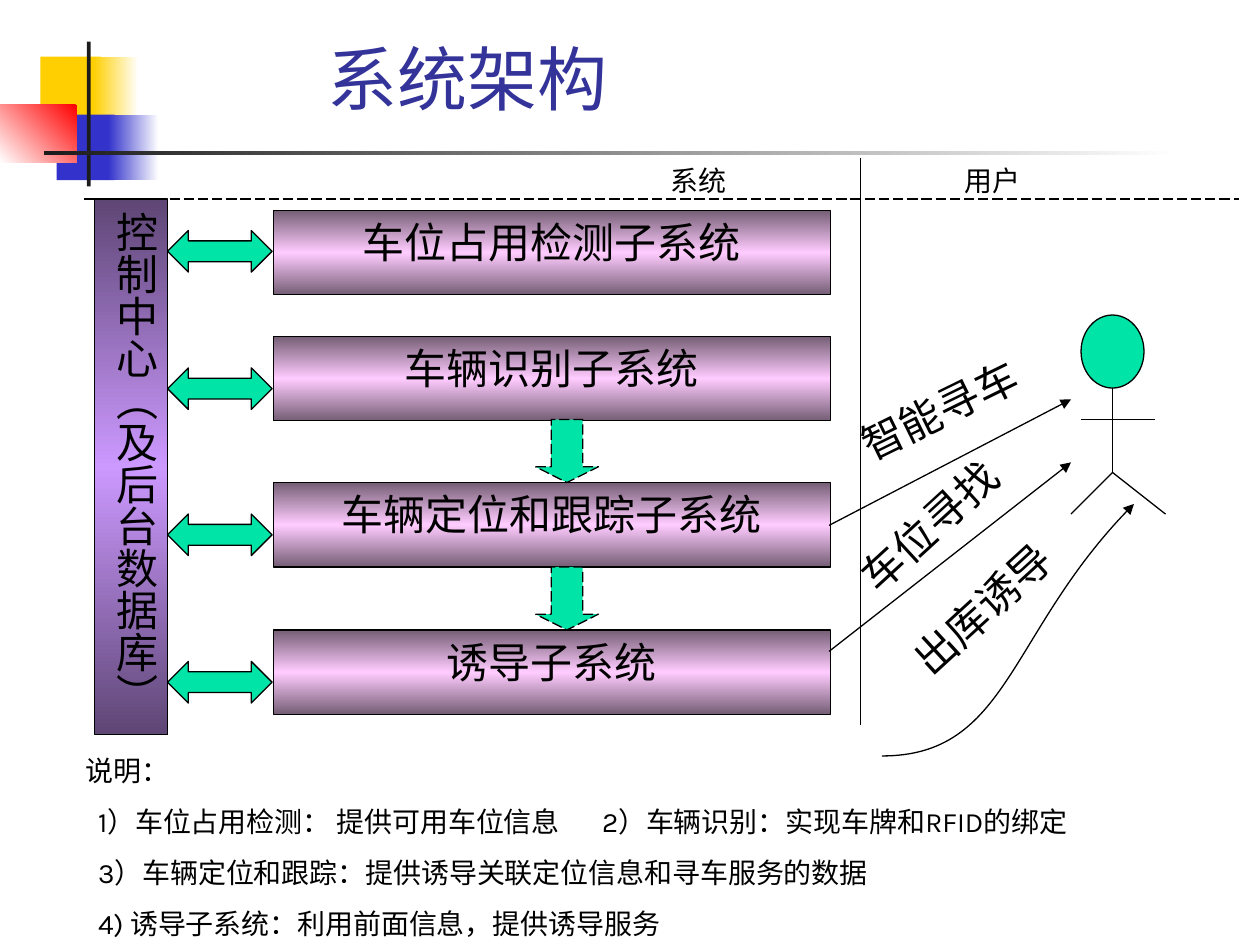
from lxml import etree
from pptx import Presentation
from pptx import util as u
from pptx.dml.color import RGBColor
from pptx.enum import dml, shapes, text
from pptx.oxml import ns

FONT = "Karla"
BLACK = RGBColor(0x00, 0x00, 0x00)
WHITE = RGBColor(0xFF, 0xFF, 0xFF)
INK = RGBColor(0x1C, 0x1C, 0x1C)
NAVY = RGBColor(0x33, 0x33, 0x99)
BLUE = RGBColor(0x33, 0x33, 0xCC)
GOLD = RGBColor(0xFF, 0xCF, 0x01)
RED = RGBColor(0xFF, 0x00, 0x00)
GREEN = RGBColor(0x00, 0xE4, 0xA8)
PLUM = RGBColor(0x5E, 0x46, 0x75)
LILAC = RGBColor(0xCC, 0x99, 0xFF)
MAUVE = RGBColor(0x75, 0x5E, 0x75)
PINK = RGBColor(0xFF, 0xCC, 0xFF)
SHAPE = shapes.MSO_SHAPE
DASH = dml.MSO_LINE.LONG_DASH
CENTER = text.PP_ALIGN.CENTER


def sub(parent, tag, **attrs):
    return etree.SubElement(parent, ns.qn(tag), attrs)


class Board:
    """Style and drawing methods for one slide."""

    def __init__(self, slide):
        self.slide = slide
        self.items = slide.shapes

    def font(self, para, size, color=BLACK):
        for run in para.runs:
            run.font.size = u.Pt(size)
            run.font.name = FONT
            run.font.color.rgb = color

    def stroke(self, line, dash=None, arrow=False):
        line.color.rgb = BLACK
        line.width = u.Pt(0.75)
        if dash:
            line.dash_style = dash
        if arrow:
            sub(line._get_or_add_ln(), "a:tailEnd", type="triangle")

    def blend(self, shape, colors, angle):
        """Gradient with evenly spaced stops; angle runs clockwise."""
        grad = etree.Element(ns.qn("a:gradFill"), rotWithShape="1")
        stops = sub(grad, "a:gsLst")
        for i, color in enumerate(colors):
            stop = sub(stops, "a:gs", pos=str(100000 * i // (len(colors) - 1)))
            sub(stop, "a:srgbClr", val=str(color))
        sub(grad, "a:lin", ang=str(angle * 60000), scaled="0")
        shape.fill.background()
        props = shape._element.spPr
        props.replace(props.find(ns.qn("a:noFill")), grad)

    def shape(self, kind, box, fill, angle=90, line=True, dash=None):
        item = self.items.add_shape(kind, *map(u.Inches, box))
        item.shadow.inherit = False
        if isinstance(fill, RGBColor):
            item.fill.solid()
            item.fill.fore_color.rgb = fill
        else:
            self.blend(item, fill, angle)
        if line:
            self.stroke(item.line, dash)
        else:
            item.line.fill.background()
        return item

    def block(self, words, box, fill, upright=False):
        item = self.shape(SHAPE.RECTANGLE, box, fill)
        frame = item.text_frame
        frame.text = words
        frame.word_wrap = True
        frame.vertical_anchor = text.MSO_ANCHOR.TOP
        if upright:
            frame._txBody.bodyPr.set("vert", "eaVert")
            frame.margin_left = frame.margin_right = u.Inches(0.05)
            frame.margin_top = frame.margin_bottom = u.Inches(0.1)
        frame.paragraphs[0].alignment = CENTER
        self.font(frame.paragraphs[0], 24)

    def label(self, words, box, size, turn=0, align=CENTER):
        item = self.items.add_textbox(*map(u.Inches, box))
        item.rotation = turn
        frame = item.text_frame
        frame.word_wrap = True
        frame.text = words
        for para in frame.paragraphs:
            para.alignment = align
            self.font(para, size)
        return frame

    def line(self, start, end, dash=None, arrow=False):
        item = self.items.add_connector(
            shapes.MSO_CONNECTOR.STRAIGHT, *map(u.Inches, start + end))
        self.stroke(item.line, dash, arrow)
        sub(item._element.spPr, "a:effectLst")

    def curve(self, start, *points):
        """Cubic curve through two control points, with an arrowhead."""
        pen = self.items.build_freeform(*start, scale=u.Inches(1))
        pen.add_line_segments(points, close=False)
        item = pen.convert_to_shape()
        item.shadow.inherit = False
        item.fill.background()
        self.stroke(item.line, arrow=True)
        route = item._element.spPr.find(".//" + ns.qn("a:path"))
        bend = sub(route, "a:cubicBezTo")
        for leg in route.findall(ns.qn("a:lnTo")):
            bend.append(leg[0])
            route.remove(leg)

    def title(self, words, box):
        item = self.items.title
        item.left, item.top, item.width, item.height = map(u.Inches, box)
        frame = item.text_frame
        frame.text = words
        frame.vertical_anchor = text.MSO_ANCHOR.BOTTOM
        frame.paragraphs[0].alignment = text.PP_ALIGN.LEFT
        self.font(frame.paragraphs[0], 40, NAVY)


def main():
    deck = Presentation()
    deck.slide_width, deck.slide_height = u.Inches(10), u.Inches(7.5)
    board = Board(deck.slides.add_slide(deck.slide_layouts[5]))

    # Corner ornament and title
    for box, fill, angle in [
        ((0.32, 0.45, 0.48, 0.52), GOLD, 0),
        ((0.74, 0.45, 0.36, 0.52), (WHITE, GOLD), 180),
        ((0.45, 0.91, 0.46, 0.52), BLUE, 0),
        ((0.86, 0.91, 0.4, 0.52), (WHITE, BLUE), 180),
        ((0, 0.83, 0.61, 0.46), (RED, WHITE), 135),
        ((0.69, 0.33, 0.03, 1.15), INK, 0),
        ((0.35, 1.2, 9, 0.03), (WHITE, INK), 180),
    ]:
        board.shape(SHAPE.RECTANGLE, box, fill, angle, line=False)
    board.title("系统架构", (2.5, 0.33, 5.25, 0.67))

    # Control centre, subsystems and their two-way arrows
    board.block("控制中心（及后台数据库）", (0.75, 1.58, 0.58, 4.25),
                (PLUM, LILAC, PLUM), upright=True)
    for words, top, mid in [
        ("车位占用检测子系统", 1.67, 1.83),
        ("车辆识别子系统", 2.67, 2.92),
        ("车辆定位和跟踪子系统", 3.83, 4.08),
        ("诱导子系统", 5, 5.25),
    ]:
        board.block(words, (2.17, top, 4.42, 0.67), (MAUVE, PINK, MAUVE))
        board.shape(SHAPE.LEFT_RIGHT_ARROW, (1.33, mid, 0.83, 0.33), GREEN)
    for top in (3.33, 4.5):
        arrow = board.shape(SHAPE.DOWN_ARROW, (4.25, top, 0.5, 0.5), GREEN, dash=DASH)
        arrow.adjustments[1] = 0.25

    # System and user zones
    board.line((6.83, 1.25), (6.83, 5.75))
    board.line((0.67, 1.58), (9.83, 1.58), dash=DASH)
    for words, left in (("系统", 4.67), ("用户", 7)):
        board.label(words, (left, 1.25, 1.75, 0.37), 16)

    # User figure
    board.shape(SHAPE.OVAL, (8.58, 2.5, 0.5, 0.58), GREEN)
    neck, hip = (8.83, 3.08), (8.83, 3.75)
    board.line((8.58, 3.33), (9.17, 3.33))
    board.line(neck, hip)
    for foot in (8.5, 9.25):
        board.line(hip, (foot, 4.08))

    # Services to the user
    board.line((6.58, 5.17), (8.5, 3.67), arrow=True)
    board.line((6.58, 4.17), (8.5, 3.17), arrow=True)
    board.curve((6.7, 5.52), (7.51, 5.72), (8.37, 5.15), (8.71, 4.2))
    for words, left, top, turn in [
        ("车位寻找", 6.5, 3.92, 317.5),
        ("智能寻车", 6.58, 3, 333.9),
        ("出库诱导", 6.92, 4.58, 317.5),
    ]:
        board.label(words, (left, top, 1.75, 0.5), 24, turn)

    # Notes below the diagram
    notes = board.label(
        "说明：\n"
        "1）车位占用检测： 提供可用车位信息\t2）车辆识别：实现车牌和RFID的绑定\n"
        "3）车辆定位和跟踪：提供诱导关联定位信息和寻车服务的数据\n"
        "4) 诱导子系统：利用前面信息，提供诱导服务",
        (0.58, 5.93, 9.17, 1.59), 16, align=text.PP_ALIGN.LEFT)
    for para in notes.paragraphs[1:]:
        para.space_before = u.Pt(10)
        props = para._p.get_or_add_pPr()
        props.set("marL", str(u.Inches(0.1)))
        props.set("indent", "0")
        tabs = sub(props, "a:tabLst")
        sub(tabs, "a:tab", pos=str(u.Inches(4.03)), algn="l")

    deck.save("out.pptx")


if __name__ == "__main__":
    main()
